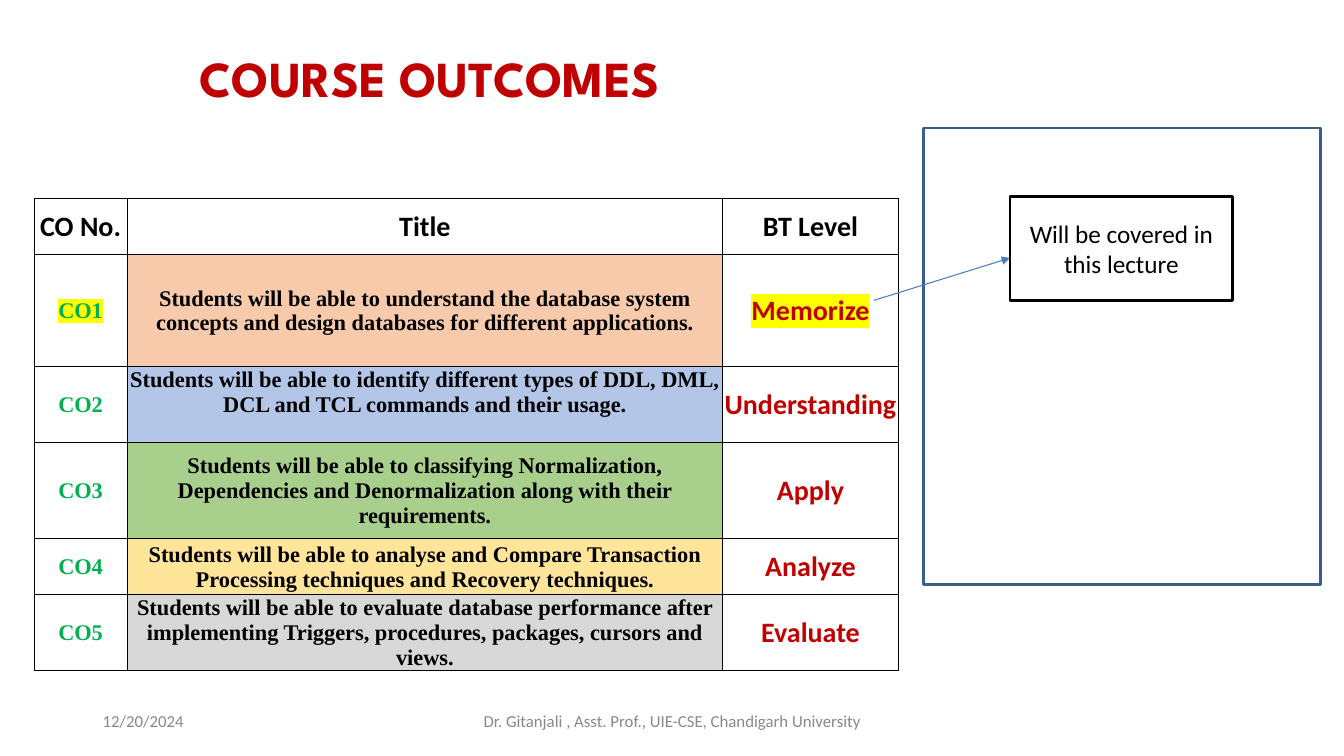
from lxml.etree import SubElement
from pptx import Presentation
from pptx.dml.color import RGBColor
from pptx.enum.shapes import MSO_CONNECTOR, MSO_SHAPE
from pptx.enum.text import MSO_ANCHOR, PP_ALIGN
from pptx.oxml.ns import qn
from pptx.util import Inches, Pt


def rgb(value):
    return RGBColor.from_string(value)


class OutcomeSlide:
    """Draws styled elements on one slide, placed in percent of its width and height."""

    BLACK, RED, GREEN, GREY = "000000", "C00000", "00B050", "888888"
    YELLOW, WHITE = "FFFF00", "FFFFFF"
    HEADER = {"name": "Calibri", "size": Pt(20), "bold": True}
    BODY = {"name": "Times New Roman", "size": Pt(16), "bold": True}
    FOOTER = {"name": "Calibri", "size": Pt(12)}
    NOTE = {"name": "Calibri", "size": Pt(18)}
    TITLE = {"name": "League Spartan", "size": Pt(36), "bold": True}

    def __init__(self, deck):
        self.width, self.height = deck.slide_width, deck.slide_height
        self.shapes = deck.slides.add_slide(deck.slide_layouts[6]).shapes

    def x(self, share):
        return round(self.width * share / 100)

    def y(self, share):
        return round(self.height * share / 100)

    def box(self, left, top, width, height):
        return self.x(left), self.y(top), self.x(width), self.y(height)

    def put_text(self, frame, text, font, color, align=PP_ALIGN.CENTER, highlight=None):
        paragraph = frame.paragraphs[0]
        paragraph.alignment = align
        run = paragraph.add_run()
        run.text = text
        run.font.color.rgb = rgb(color)
        if highlight:
            marker = SubElement(run.font._element, qn("a:highlight"))
            SubElement(marker, qn("a:srgbClr"), val=highlight)
        for key, value in font.items():
            setattr(run.font, key, value)
        return paragraph

    def text(self, place, text, font, color, align=PP_ALIGN.LEFT, anchor=MSO_ANCHOR.MIDDLE):
        frame = self.shapes.add_textbox(*self.box(*place)).text_frame
        frame.word_wrap = True
        frame.vertical_anchor = anchor
        return self.put_text(frame, text, font, color, align)

    def rectangle(self, place, line, fill=None, text=None):
        shape = self.shapes.add_shape(MSO_SHAPE.RECTANGLE, *self.box(*place))
        shape.shadow.inherit = False
        shape.line.color.rgb = rgb(line)
        shape.line.width = Pt(2)
        if fill:
            shape.fill.solid()
            shape.fill.fore_color.rgb = rgb(fill)
        else:
            shape.fill.background()
        if text:
            shape.text_frame.word_wrap = True
            shape.text_frame.vertical_anchor = MSO_ANCHOR.MIDDLE
            self.put_text(shape.text_frame, text, self.NOTE, self.BLACK)

    def arrow(self, start, end, color):
        ends = self.x(start[0]), self.y(start[1]), self.x(end[0]), self.y(end[1])
        connector = self.shapes.add_connector(MSO_CONNECTOR.STRAIGHT, *ends)
        connector.line.color.rgb = rgb(color)
        connector.line.width = Pt(0.75)
        properties = connector._element.spPr
        SubElement(properties.find(qn("a:ln")), qn("a:tailEnd"), type="triangle")
        SubElement(properties, qn("a:effectLst"))

    def cell(self, cell, text, font, color, fill=None, highlight=None,
             anchor=MSO_ANCHOR.MIDDLE, outer=""):
        layout = {"vertical_anchor": anchor, "margin_left": Inches(0.01),
                  "margin_right": Inches(0.01), "margin_top": Inches(0.01),
                  "margin_bottom": 0}
        for key, value in layout.items():
            setattr(cell, key, value)
        for side in "LRTB":
            width = Pt(1 if side in outer else 0.75)
            border = SubElement(cell._tc.tcPr, qn(f"a:ln{side}"), w=str(width))
            solid = SubElement(border, qn("a:solidFill"))
            SubElement(solid, qn("a:srgbClr"), val=self.BLACK)
        if fill:
            cell.fill.solid()
            cell.fill.fore_color.rgb = rgb(fill)
        else:
            cell.fill.background()
        self.put_text(cell.text_frame, text, font, color, highlight=highlight)

    def table(self, left, top, columns, rows, headings, outcomes):
        place = self.box(left, top, sum(columns), sum(rows))
        table = self.shapes.add_table(len(rows), len(columns), *place).table
        table.first_row = table.horz_banding = False
        for column, share in zip(table.columns, columns):
            column.width = self.x(share)
        for row, share in zip(table.rows, rows):
            row.height = self.y(share)
        for index, heading in enumerate(headings):
            self.cell(table.cell(0, index), heading, self.HEADER, self.BLACK,
                      outer=("LT", "T", "TR")[index])
        for number, (title, level, fill, anchor) in enumerate(outcomes, 1):
            mark = self.YELLOW if number == 1 else None
            bottom = "B" if number == len(outcomes) else ""
            self.cell(table.cell(number, 0), f"CO{number}", self.BODY, self.GREEN,
                      highlight=mark, outer="L" + bottom)
            self.cell(table.cell(number, 1), title, self.BODY, self.BLACK,
                      fill=fill, anchor=anchor, outer=bottom)
            self.cell(table.cell(number, 2), level, self.HEADER, self.RED,
                      highlight=mark, outer="R" + bottom)


OUTCOMES = [
    ("Students will be able to understand the database system concepts and design "
     "databases for different applications.", "Memorize", "F7CAAC", MSO_ANCHOR.MIDDLE),
    ("Students will be able to identify different types of DDL, DML, DCL and TCL "
     "commands and their usage.", "Understanding", "B3C6E7", MSO_ANCHOR.TOP),
    ("Students will be able to classifying Normalization, Dependencies and "
     "Denormalization along with their requirements.", "Apply", "A8D08C", MSO_ANCHOR.MIDDLE),
    ("Students will be able to analyse and Compare Transaction Processing techniques "
     "and Recovery techniques.", "Analyze", "FEE599", MSO_ANCHOR.MIDDLE),
    ("Students will be able to evaluate database performance after implementing "
     "Triggers, procedures, packages, cursors and views.", "Evaluate", "D8D8D8",
     MSO_ANCHOR.MIDDLE),
]


def main():
    deck = Presentation()
    deck.slide_width, deck.slide_height = Inches(13.33), Inches(7.5)
    slide = OutcomeSlide(deck)
    slide.table(2.55, 26.27, (6.9, 44.33, 13.06), (7.4, 14.8, 10.1, 12.7, 7.4, 9.9),
                ("CO No.", "Title", "BT Level"), OUTCOMES)
    title = slide.text((14.1, 5.47, 64.66, 9.47), "COURSE OUTCOMES", slide.TITLE,
                       slide.RED, anchor=MSO_ANCHOR.BOTTOM)
    title.line_spacing = 0.9
    slide.text((6.9, 92.67, 22.5, 5.33), "12/20/2024", slide.FOOTER, slide.GREY)
    slide.text((33.15, 92.67, 33.75, 5.33),
               "Dr. Gitanjali , Asst. Prof., UIE-CSE, Chandigarh University",
               slide.FOOTER, slide.GREY, PP_ALIGN.CENTER)
    slide.rectangle((68.7, 16.93, 29.55, 60.4), "395E89")
    slide.rectangle((75.15, 26, 16.58, 13.73), slide.BLACK, slide.WHITE,
                    "Will be covered in this lecture")
    slide.arrow((65.03, 39.73), (75.15, 34.13), "4A7DBA")
    deck.save("out.pptx")


if __name__ == "__main__":
    main()
